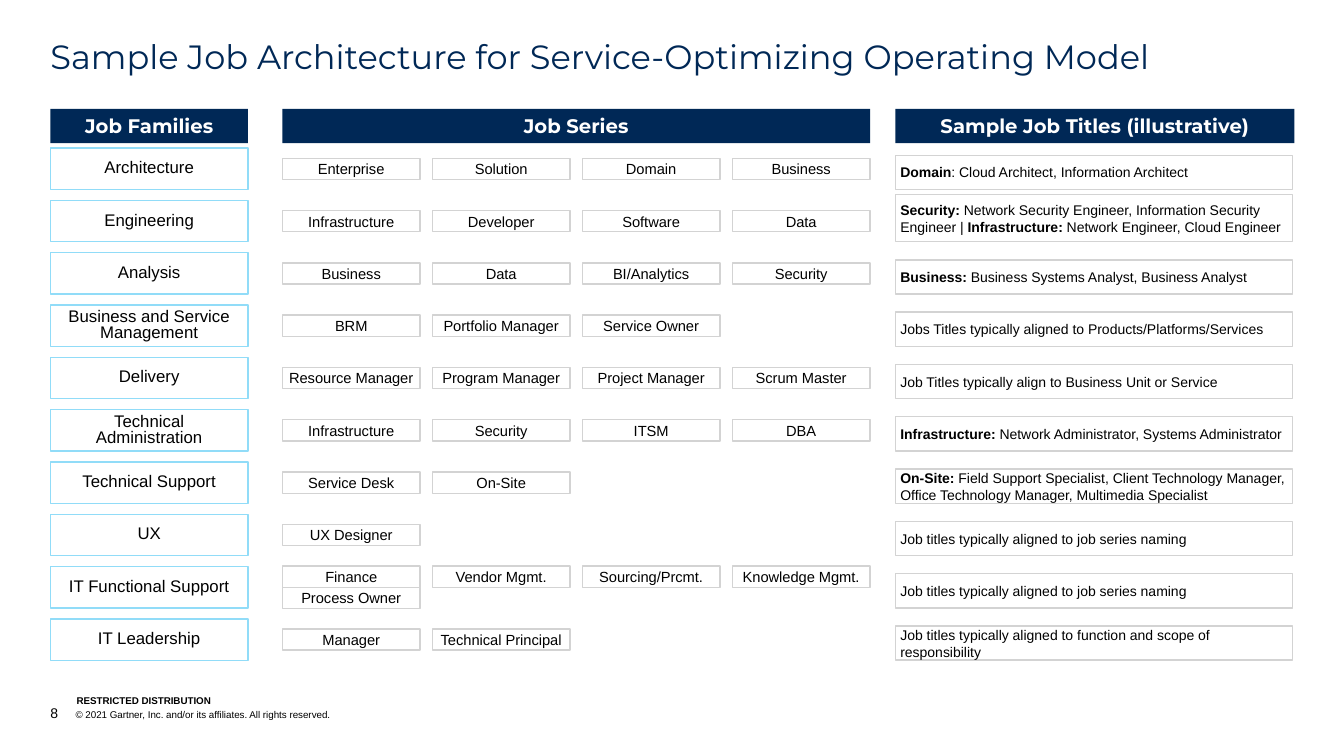
from lxml.etree import SubElement
from pptx import Presentation
from pptx.dml.color import RGBColor
from pptx.enum.shapes import MSO_SHAPE as Shape
from pptx.enum.text import MSO_ANCHOR as Anchor, PP_ALIGN as Align
from pptx.oxml.ns import qn
from pptx.util import Inches, Pt

NAVY, SKY, GREY, BLACK, WHITE = "002856", "91DCF8", "D3D3D3", "000000", "FFFFFF"
FAMILY_HEIGHT = 0.41
SERIES_HEIGHT = 0.21
TITLE_HEIGHT = 0.34
SERIES_GAP = 0.12

# Family, job series (one list per line of boxes), sample titles as
# (bold lead, text) pairs, height of the titles box
JOB_ROWS = [
    ("Architecture", [["Enterprise", "Solution", "Domain", "Business"]],
     [("Domain", ": Cloud Architect, Information Architect")], TITLE_HEIGHT),
    ("Engineering", [["Infrastructure", "Developer", "Software", "Data"]],
     [("Security: ", "Network Security Engineer, Information Security Engineer | "),
      ("Infrastructure: ", "Network Engineer, Cloud Engineer")], 0.47),
    ("Analysis", [["Business", "Data", "BI/Analytics", "Security"]],
     [("Business: ", "Business Systems Analyst, Business Analyst")], TITLE_HEIGHT),
    ("Business and Service Management", [["BRM", "Portfolio Manager", "Service Owner"]],
     [("", "Jobs Titles typically aligned to Products/Platforms/Services")], TITLE_HEIGHT),
    ("Delivery", [["Resource Manager", "Program Manager", "Project Manager", "Scrum Master"]],
     [("", "Job Titles typically align to Business Unit or Service")], TITLE_HEIGHT),
    ("Technical\nAdministration", [["Infrastructure", "Security", "ITSM", "DBA"]],
     [("Infrastructure: ", "Network Administrator, Systems Administrator")], TITLE_HEIGHT),
    ("Technical Support", [["Service Desk", "On-Site"]],
     [("On-Site: ", "Field Support Specialist, Client Technology Manager, "
       "Office Technology Manager, Multimedia Specialist")], TITLE_HEIGHT),
    ("UX", [["UX Designer"]],
     [("", "Job titles typically aligned to job series naming")], TITLE_HEIGHT),
    ("IT Functional Support",
     [["Finance", "Vendor Mgmt.", "Sourcing/Prcmt.", "Knowledge Mgmt."], ["Process Owner"]],
     [("", "Job titles typically aligned to job series naming")], TITLE_HEIGHT),
    ("IT Leadership", [["Manager", "Technical Principal"]],
     [("", "Job titles typically aligned to function and scope of responsibility")],
     TITLE_HEIGHT),
]


def color(hex_string):
    return RGBColor.from_string(hex_string)


def set_font(paragraph, size, name="Arial", hex_color=BLACK, bold=None):
    font = paragraph.font
    font.name, font.size, font.bold = name, Pt(size), bold
    font.color.rgb = color(hex_color)


def set_frame(frame, inset, anchor):
    frame.word_wrap = True
    frame.vertical_anchor = anchor
    frame.margin_left = frame.margin_right = Inches(inset)
    frame.margin_top = frame.margin_bottom = Inches(inset)


def add_box(slide, box, fill=None, line=None, inset=0.05):
    """Add a rectangle and return its text frame."""
    shape = slide.shapes.add_shape(Shape.RECTANGLE, *map(Inches, box))
    shape.shadow.inherit = False
    if fill:
        shape.fill.solid()
        shape.fill.fore_color.rgb = color(fill)
    else:
        shape.fill.background()
    if line:
        shape.line.color.rgb = color(line)
        shape.line.width = Pt(1)
    else:
        shape.line.fill.background()
    set_frame(shape.text_frame, inset, Anchor.MIDDLE)
    return shape.text_frame


def add_text(slide, box, anchor):
    """Add a text box without insets and return its first paragraph."""
    frame = slide.shapes.add_textbox(*map(Inches, box)).text_frame
    set_frame(frame, 0, anchor)
    return frame.paragraphs[0]


def add_heading(slide, box):
    paragraph = add_text(slide, box, Anchor.TOP)
    paragraph.text = "Sample Job Architecture for Service-Optimizing Operating Model"
    paragraph.line_spacing = 0.9
    set_font(paragraph, 24, "Montserrat", NAVY)


def add_column_header(slide, box, text):
    paragraph = add_box(slide, box, fill=NAVY).paragraphs[0]
    paragraph.text = text
    paragraph.alignment = Align.CENTER
    set_font(paragraph, 14, "Montserrat", WHITE, True)


def add_family(slide, box, name):
    frame = add_box(slide, box, line=SKY, inset=0)
    frame.text = name
    for paragraph in frame.paragraphs:
        paragraph.alignment = Align.CENTER
        paragraph.line_spacing = 0.8
        set_font(paragraph, 12)


def add_series(slide, box, lines):
    """Place lines of series boxes, four to the width, centred in the box."""
    left, top, width, height = box
    cell_width = (width - 3 * SERIES_GAP) / 4
    first_top = top + (height - len(lines) * SERIES_HEIGHT) / 2
    for line_index, names in enumerate(lines):
        cell_top = first_top + line_index * SERIES_HEIGHT
        for column, name in enumerate(names):
            cell_left = left + column * (cell_width + SERIES_GAP)
            cell = (cell_left, cell_top, cell_width, SERIES_HEIGHT)
            paragraph = add_box(slide, cell, line=GREY).paragraphs[0]
            paragraph.text = name
            paragraph.alignment = Align.CENTER
            set_font(paragraph, 10.5)


def add_sample_titles(slide, box, parts):
    paragraph = add_box(slide, box, line=GREY).paragraphs[0]
    paragraph.alignment = Align.LEFT
    for lead, text in parts:
        if lead:
            run = paragraph.add_run()
            run.text = lead
            run.font.bold = True
        paragraph.add_run().text = text
    set_font(paragraph, 10)


def add_job_table(slide, box):
    """Place the three headed columns and one row per job family."""
    left, top, width, height = box
    family_width, series_width, titles_width = 1.96, 5.83, 3.96
    series_left = left + 2.3
    titles_left = left + width - titles_width
    for column_left, column_width, text in [
        (left, family_width, "Job Families"),
        (series_left, series_width, "Job Series"),
        (titles_left, titles_width, "Sample Job Titles (illustrative)"),
    ]:
        add_column_header(slide, (column_left, top, column_width, 0.34), text)

    first_top = top + 0.39
    pitch = (top + height - FAMILY_HEIGHT - first_top) / (len(JOB_ROWS) - 1)
    for index, (family, series, titles, titles_height) in enumerate(JOB_ROWS):
        row_top = first_top + index * pitch
        titles_top = row_top + FAMILY_HEIGHT - titles_height
        add_family(slide, (left, row_top, family_width, FAMILY_HEIGHT), family)
        add_series(slide, (series_left, row_top, series_width, FAMILY_HEIGHT), series)
        add_sample_titles(
            slide, (titles_left, titles_top, titles_width - 0.02, titles_height), titles)


def add_footer(slide, box):
    left, top, width, height = box
    label = add_text(slide, (left + 0.26, top, 2.53, 0.12), Anchor.BOTTOM)
    label.text = "RESTRICTED DISTRIBUTION"
    set_font(label, 7, bold=True)

    notice = add_text(slide, (left, top + height - 0.17, width, 0.17), Anchor.BOTTOM)
    properties = notice._p.get_or_add_pPr()
    indent = Inches(0.25)
    properties.set("marL", str(indent))
    properties.set("indent", str(-indent))
    tabs = SubElement(properties, qn("a:tabLst"))
    SubElement(tabs, qn("a:tab"), pos=str(indent), algn="l")
    for text, size in [
        ("8", 10),
        ("\t© 2021 Gartner, Inc. and/or its affiliates. All rights reserved.", 7),
    ]:
        run = notice.add_run()
        run.text = text
        run.font.size = Pt(size)
    set_font(notice, 7)


def main():
    presentation = Presentation()
    presentation.slide_width = Inches(13.33)
    presentation.slide_height = Inches(7.5)
    slide = presentation.slides.add_slide(presentation.slide_layouts[6])
    add_heading(slide, (0.5, 0.4, 12.33, 0.48))
    add_job_table(slide, (0.5, 1.08, 12.34, 5.47))
    add_footer(slide, (0.5, 6.89, 7.99, 0.27))
    presentation.save("out.pptx")


if __name__ == "__main__":
    main()
